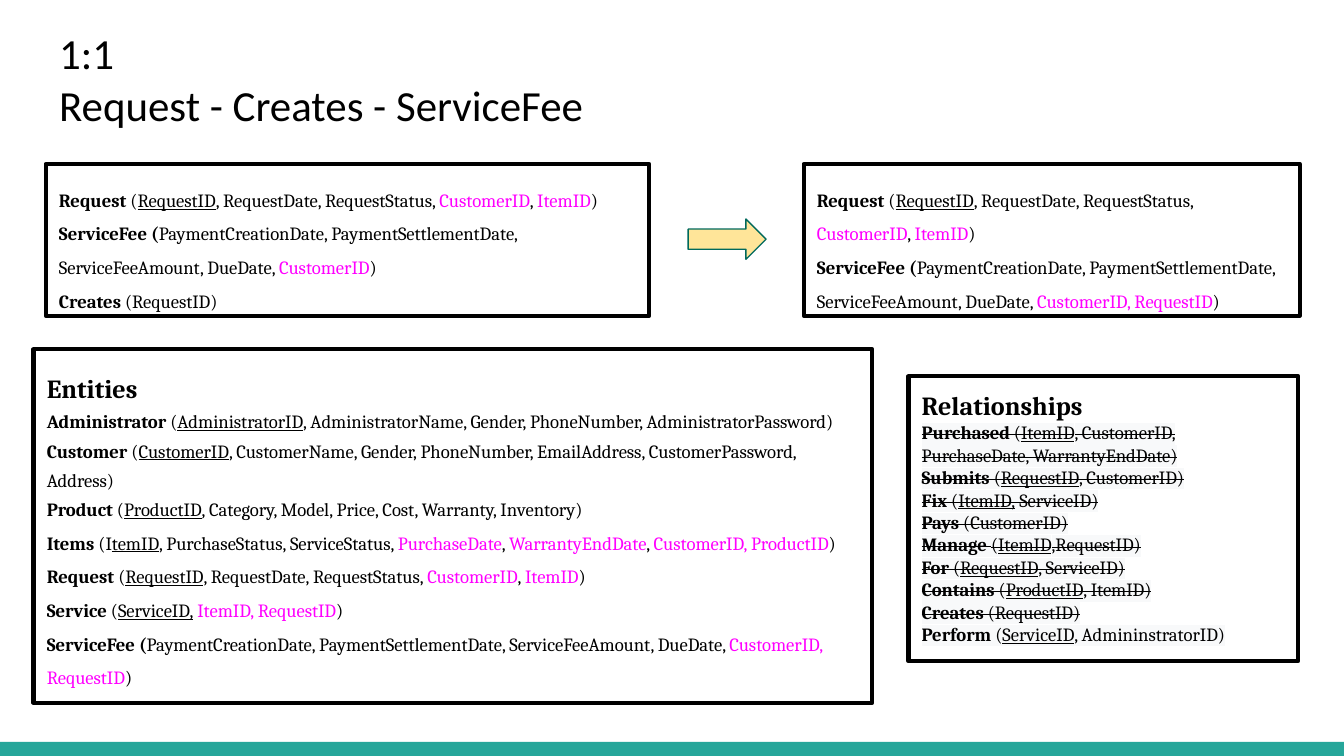
from lxml import etree
from pptx import Presentation
from pptx.dml.color import RGBColor
from pptx.enum import shapes, text
from pptx.oxml.ns import qn
from pptx.util import Inches, Pt

BLACK = RGBColor(0x00, 0x00, 0x00)
MAGENTA = RGBColor(0xFF, 0x00, 0xFF)
TEAL = RGBColor(0x26, 0xA6, 0x9A)
DARK_TEAL = RGBColor(0x00, 0x69, 0x5C)
YELLOW = RGBColor(0xFF, 0xE5, 0x99)
PALE_GREY = RGBColor(0xF8, 0xF9, 0xFA)

REQUEST = "*Request |(|_RequestID|, RequestDate, RequestStatus, |#CustomerID|, |#ItemID|)"
FEE = ("*ServiceFee (|PaymentCreationDate, PaymentSettlementDate, "
       "ServiceFeeAmount, DueDate, |#")
FEE_BEFORE = FEE + "CustomerID|)"
FEE_AFTER = FEE + "CustomerID, RequestID|)"
CREATES = "*Creates |(RequestID)"

ENTITIES = [
    "*Administrator |(|_AdministratorID|, AdministratorName, Gender, PhoneNumber, "
    "AdministratorPassword)",
    "*Customer |(|_CustomerID|, CustomerName, Gender, PhoneNumber, EmailAddress, "
    "CustomerPassword, Address)",
    "*Product |(|_ProductID|, Category, Model, Price, Cost, Warranty, Inventory)",
]
LINKED_ENTITIES = [
    "*Items |(I|_temID|, PurchaseStatus, ServiceStatus, |#PurchaseDate|, "
    "|#WarrantyEndDate|, |#CustomerID, ProductID|)",
    REQUEST,
    "*Service |(|_ServiceID,| |#ItemID, RequestID|)",
    FEE_AFTER,
]
DONE_RELATIONSHIPS = [
    "*Purchased |(|_ItemID|, CustomerID, PurchaseDate, WarrantyEndDate)",
    "*Submits |(|_RequestID|, CustomerID)",
    "*Fix |(|_ItemID,| ServiceID)",
    "*Pays |(CustomerID)",
    "*Manage |(|_ItemID|,RequestID)",
    "*For |(|_RequestID|, ServiceID)",
    "*Contains |(|_ProductID|, ItemID)",
    CREATES,
]
OPEN_RELATIONSHIPS = ["*Perform |(|_ServiceID|, AdmininstratorID)"]


def highlight(r, color):
    """Put a highlight colour behind a run, ahead of its typeface."""
    mark = etree.Element(qn("a:highlight"))
    etree.SubElement(mark, qn("a:srgbClr"), val=str(color))
    r.font._element.find(qn("a:latin")).addprevious(mark)


def add_text(p, line, size=10, font="Cambria", spacing=1.0, strike=False, back=None):
    """Write pieces split by |, where * is bold, _ underlined and # magenta."""
    p.alignment = text.PP_ALIGN.LEFT
    p.line_spacing = spacing
    p.space_before = p.space_after = Pt(0)
    for piece in line.split("|"):
        mark = piece[0] if piece[0] in "*_#" else ""
        r = p.add_run()
        r.text = piece[len(mark):]
        r.font.size = Pt(size)
        r.font.name = font
        r.font.bold = mark == "*"
        r.font.underline = mark == "_"
        r.font.color.rgb = MAGENTA if mark == "#" else BLACK
        if strike:
            r.font._element.set("strike", "sngStrike")
        if back is not None:
            highlight(r, back)


def fill_frame(tf, groups):
    """Fill a text frame with groups of lines that share a format."""
    tf.word_wrap = True
    tf.auto_size = text.MSO_AUTO_SIZE.NONE
    tf.vertical_anchor = text.MSO_ANCHOR.TOP
    tf.margin_left = tf.margin_right = tf.margin_top = tf.margin_bottom = Inches(0.1)
    rows = [(line, style) for lines, style in groups for line in lines]
    for i, (line, style) in enumerate(rows):
        p = tf.add_paragraph() if i else tf.paragraphs[0]
        add_text(p, line, **style)


def add_shape(s, kind, at, fill=None, line=None, width=0.75):
    """Add a flat preset shape with an optional fill and outline."""
    sp = s.shapes.add_shape(kind, *map(Inches, at))
    sp.shadow.inherit = False
    if fill is None:
        sp.fill.background()
    else:
        sp.fill.solid()
        sp.fill.fore_color.rgb = fill
    if line is None:
        sp.line.fill.background()
    else:
        sp.line.color.rgb = line
        sp.line.width = Pt(width)
    return sp


def add_schema_box(s, at, groups):
    """Add a black-framed box of relation schemas."""
    sp = add_shape(s, shapes.MSO_SHAPE.RECTANGLE, at, line=BLACK, width=2.25)
    fill_frame(sp.text_frame, groups)


def add_title(s, lines):
    """Place and fill the title placeholder."""
    title = s.shapes.title
    title.left, title.top, title.width, title.height = map(Inches, (0.34, 0.1, 9.32, 0.98))
    fill_frame(title.text_frame, [(lines, dict(size=23, font="Calibri"))])


def main():
    """Build the slide and save it."""
    prs = Presentation()
    prs.slide_width, prs.slide_height = Inches(10), Inches(10) * 9 // 16
    s = prs.slides.add_slide(prs.slide_layouts[5])
    add_shape(s, shapes.MSO_SHAPE.RECTANGLE, (0, 5.52, 10, 0.11), fill=TEAL)
    add_title(s, ["1:1", "Request - Creates - ServiceFee"])

    wide = dict(spacing=1.5)
    add_schema_box(s, (0.34, 1.22, 4.49, 1.13), [([REQUEST, FEE_BEFORE, CREATES], wide)])
    add_shape(s, shapes.MSO_SHAPE.RIGHT_ARROW, (5.12, 1.63, 0.58, 0.3), YELLOW, DARK_TEAL)
    add_schema_box(s, (5.98, 1.22, 3.69, 1.13), [([REQUEST, FEE_AFTER], wide)])
    add_schema_box(s, (0.25, 2.6, 6.24, 2.63), [
        (["*Entities"], dict(size=14, spacing=1.3)),
        (ENTITIES, dict(spacing=1.3)),
        (LINKED_ENTITIES, wide),
    ])
    add_schema_box(s, (6.76, 2.8, 2.9, 2.12), [
        (["*Relationships"], dict(size=14)),
        (DONE_RELATIONSHIPS, dict(strike=True, back=PALE_GREY)),
        (OPEN_RELATIONSHIPS, dict(back=PALE_GREY)),
    ])
    prs.save("out.pptx")


if __name__ == "__main__":
    main()
